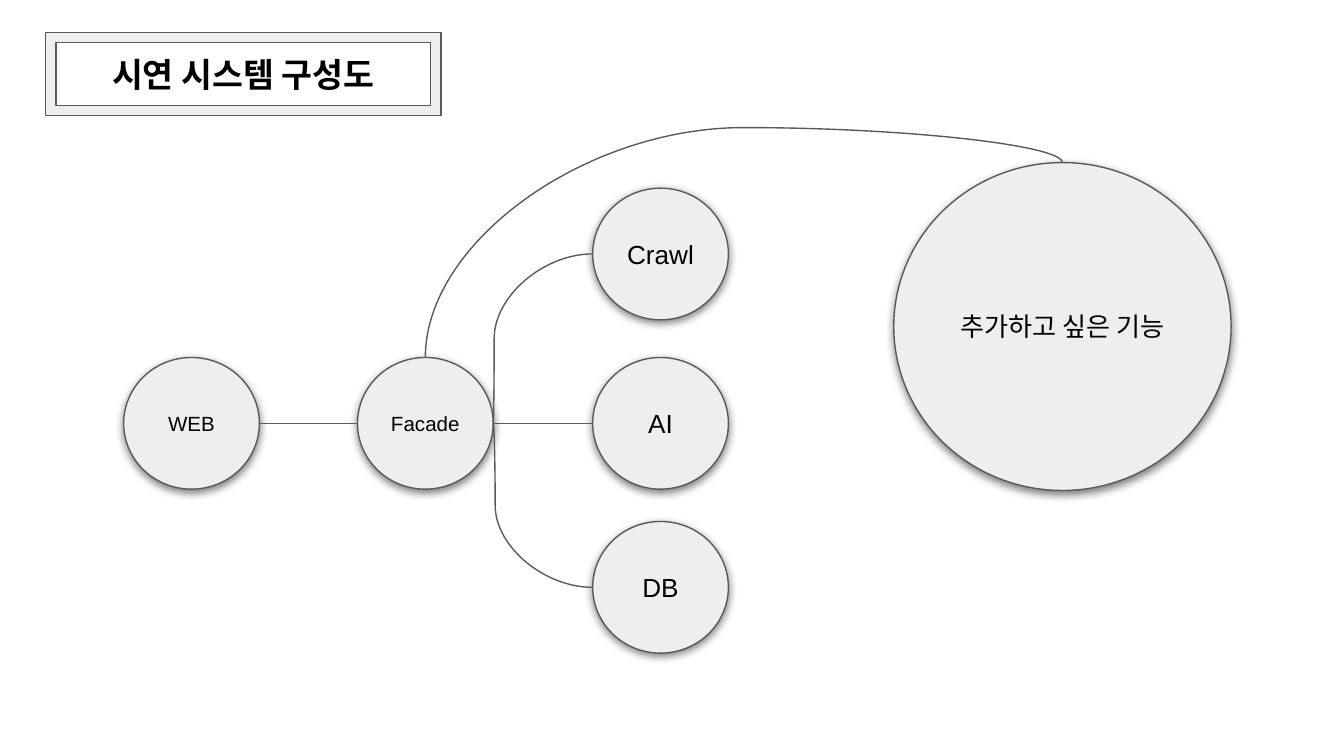
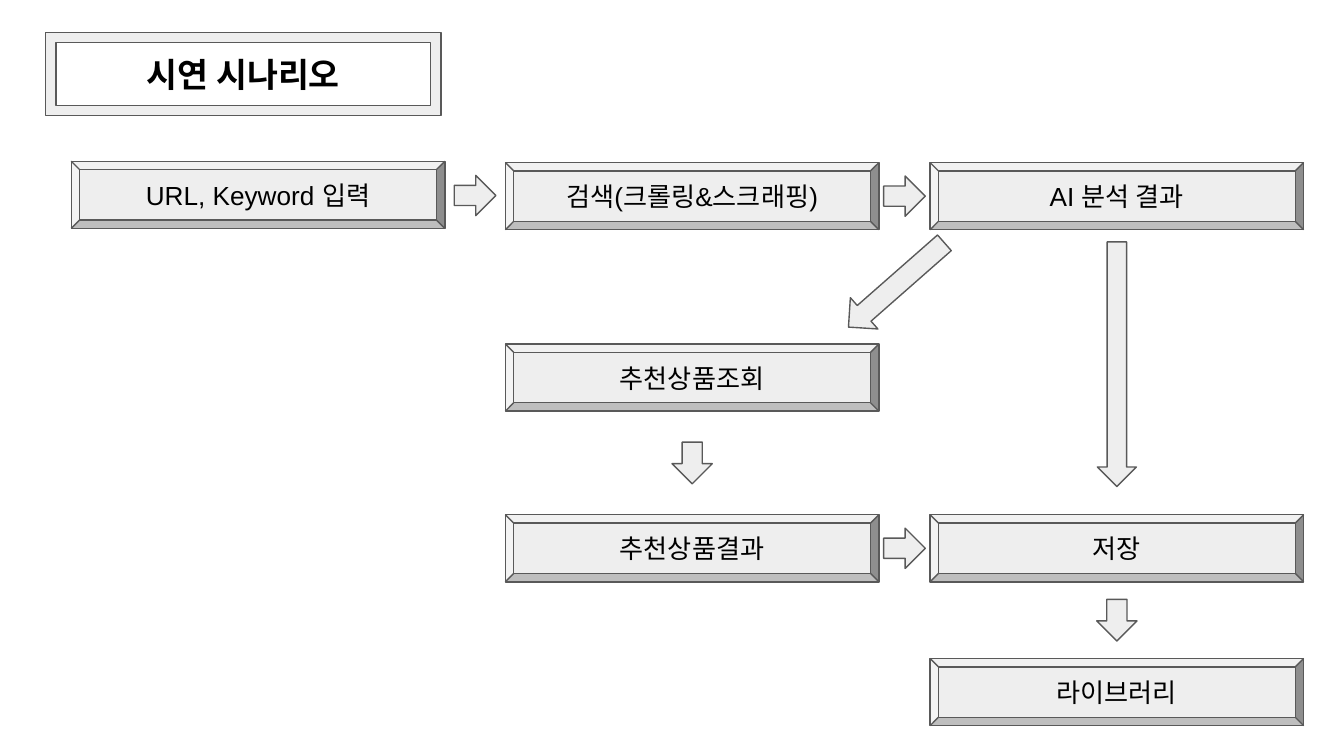
from dataclasses import dataclass

import lxml.etree
import pptx
import pptx.dml.color
import pptx.enum.shapes
import pptx.enum.text
import pptx.oxml
import pptx.oxml.ns
import pptx.util

Inches = pptx.util.Inches
Pt = pptx.util.Pt
SHAPE = pptx.enum.shapes.MSO_SHAPE
qn = pptx.oxml.ns.qn


@dataclass(frozen=True)
class Theme:
    fill: str = "EEEEEE"
    line: str = "595959"
    text: str = "000000"
    line_width: float = 0.75
    font: str = "Arial"
    korean_font: str = "Noto Sans CJK KR"
    title_size: int = 18
    label_size: int = 14
    small_size: int = 11
    inset: float = 0.1


THEME = Theme()

TITLE_BOX = (0.34, 0.24, 2.94, 0.62)
NODE_W, NODE_H = 1.01, 0.98
STEP_W, STEP_H = 2.78, 0.5
ARROW_LENGTH, ARROW_WIDTH = 0.31, 0.3

SHADOW_XML = (
    '<a:effectLst xmlns:a="http://schemas.openxmlformats.org/drawingml/2006/main">'
    '<a:outerShdw blurRad="57150" dist="19050" dir="5400000" algn="bl" rotWithShape="0">'
    '<a:srgbClr val="000000"><a:alpha val="50000"/></a:srgbClr>'
    "</a:outerShdw></a:effectLst>"
)


def rgb(value):
    return pptx.dml.color.RGBColor.from_string(value)


def style_line(line):
    line.color.rgb = rgb(THEME.line)
    line.width = Pt(THEME.line_width)


def set_label(sp, text, size, font=THEME.font, bold=False):
    tf = sp.text_frame
    tf.text = text
    tf.word_wrap = True
    tf.auto_size = pptx.enum.text.MSO_AUTO_SIZE.NONE
    tf.vertical_anchor = pptx.enum.text.MSO_ANCHOR.MIDDLE
    tf.margin_left = tf.margin_right = Inches(THEME.inset)
    tf.margin_top = tf.margin_bottom = Inches(THEME.inset)
    p = tf.paragraphs[0]
    p.alignment = pptx.enum.text.PP_ALIGN.CENTER
    r = p.runs[0]
    r.font.size = Pt(size)
    r.font.bold = bold
    r.font.color.rgb = rgb(THEME.text)
    r.font.name = font
    latin = r.font._element.find(qn("a:latin"))
    ea = lxml.etree.Element(qn("a:ea"), typeface=THEME.korean_font)
    latin.addnext(ea)


def add_shape(s, kind, x, y, w, h):
    sp = s.shapes.add_shape(kind, Inches(x), Inches(y), Inches(w), Inches(h))
    sp.shadow.inherit = False
    sp.fill.solid()
    sp.fill.fore_color.rgb = rgb(THEME.fill)
    style_line(sp.line)
    return sp


def add_title_slide(prs, title):
    """Add a title-only slide with its title inside a frame."""
    s = prs.slides.add_slide(prs.slide_layouts[5])
    add_shape(s, SHAPE.FRAME, *TITLE_BOX)
    sp = s.shapes.title
    sp.left, sp.top, sp.width, sp.height = (Inches(v) for v in TITLE_BOX)
    set_label(sp, title, THEME.title_size, THEME.korean_font, bold=True)
    return s


def add_node(s, text, x, y, size=THEME.label_size, w=NODE_W, h=NODE_H):
    sp = add_shape(s, SHAPE.OVAL, x, y, w, h)
    spPr = sp._element.spPr
    spPr.replace(spPr.find(qn("a:effectLst")), pptx.oxml.parse_xml(SHADOW_XML))
    set_label(sp, text, size)
    return sp


def add_curve(s, start, end, bend=0.5, upright=False):
    """Join two points; bend places the middle, upright leaves the start vertically."""
    (x1, y1), (x2, y2) = start, end
    if upright:
        cx, cy = (x1 + x2) // 2, (y1 + y2) // 2
        half_w, half_h = abs(y2 - y1) // 2, abs(x2 - x1) // 2
        x1, y1, x2, y2 = cx - half_w, cy - half_h, cx + half_w, cy + half_h
    cn = s.shapes.add_connector(pptx.enum.shapes.MSO_CONNECTOR.CURVE, x1, y1, x2, y2)
    spPr = cn._element.spPr
    if upright:
        spPr.find(qn("a:xfrm")).set("rot", str(270 * 60000))
    guides = spPr.find(qn("a:prstGeom")).get_or_add_avLst()
    lxml.etree.SubElement(guides, qn("a:gd"), name="adj1",
                          fmla=f"val {round(bend * 100000)}")
    style_line(cn.line)
    lxml.etree.SubElement(spPr, qn("a:effectLst"))


def top_of(sp):
    return sp.left + sp.width // 2, sp.top


def left_of(sp):
    return sp.left, sp.top + sp.height // 2


def right_of(sp):
    return sp.left + sp.width, sp.top + sp.height // 2


def add_step(s, text, x, y):
    sp = add_shape(s, SHAPE.BEVEL, x, y, STEP_W, STEP_H)
    set_label(sp, text, THEME.label_size)


def add_arrow(s, cx, cy, length=ARROW_LENGTH, width=ARROW_WIDTH, angle=0):
    sp = add_shape(s, SHAPE.RIGHT_ARROW, cx - length / 2, cy - width / 2, length, width)
    sp.rotation = angle


def add_arrow_between(s, a, b):
    """Centre an arrow in the gap between two steps in one row or column."""
    (ax, ay), (bx, by) = a, b
    add_arrow(s, (ax + bx + STEP_W) / 2, (ay + by + STEP_H) / 2,
              angle=90 if ax == bx else 0)


def build_system(prs):
    s = add_title_slide(prs, "시연 시스템 구성도")
    web = add_node(s, "WEB", 0.92, 2.66, THEME.small_size)
    facade = add_node(s, "Facade", 2.66, 2.66, THEME.small_size)
    ai = add_node(s, "AI", 4.41, 2.66)
    crawl = add_node(s, "Crawl", 4.41, 1.4)
    db = add_node(s, "DB", 4.41, 3.88)
    wish = add_node(s, "추가하고 싶은 기능", 6.65, 1.21, w=2.51, h=2.44)

    add_curve(s, right_of(web), left_of(facade))
    for node, bend in ((ai, 0.5), (crawl, 0.01), (db, 0.02)):
        add_curve(s, right_of(facade), left_of(node), bend)
    add_curve(s, top_of(facade), top_of(wish), 1.18, upright=True)


def build_scenario(prs):
    s = add_title_slide(prs, "시연 시나리오")
    middle, right = 3.76, 6.92
    top, lookup_row, result_row, library_row = 1.21, 2.56, 3.83, 4.9
    entry, search, analysis = (0.53, 1.2), (middle, top), (right, top)
    lookup, result = (middle, lookup_row), (middle, result_row)
    save, library = (right, result_row), (right, library_row)

    for text, place in (
        ("URL, Keyword 입력", entry),
        ("검색(크롤링&스크래핑)", search),
        ("AI 분석 결과", analysis),
        ("추천상품조회", lookup),
        ("추천상품결과", result),
        ("저장", save),
        ("라이브러리", library),
    ):
        add_step(s, text, *place)

    for a, b in ((entry, search), (search, analysis), (lookup, result),
                 (result, save), (save, library)):
        add_arrow_between(s, a, b)
    add_arrow(s, 6.67, 2.12, length=0.95, width=0.31, angle=138.7)
    add_arrow(s, right + STEP_W / 2, 2.71, length=1.82, width=0.29, angle=90)


def main():
    prs = pptx.Presentation()
    prs.slide_width = Inches(10)
    prs.slide_height = prs.slide_width * 9 // 16
    build_system(prs)
    build_scenario(prs)
    prs.save("out.pptx")


if __name__ == "__main__":
    main()
